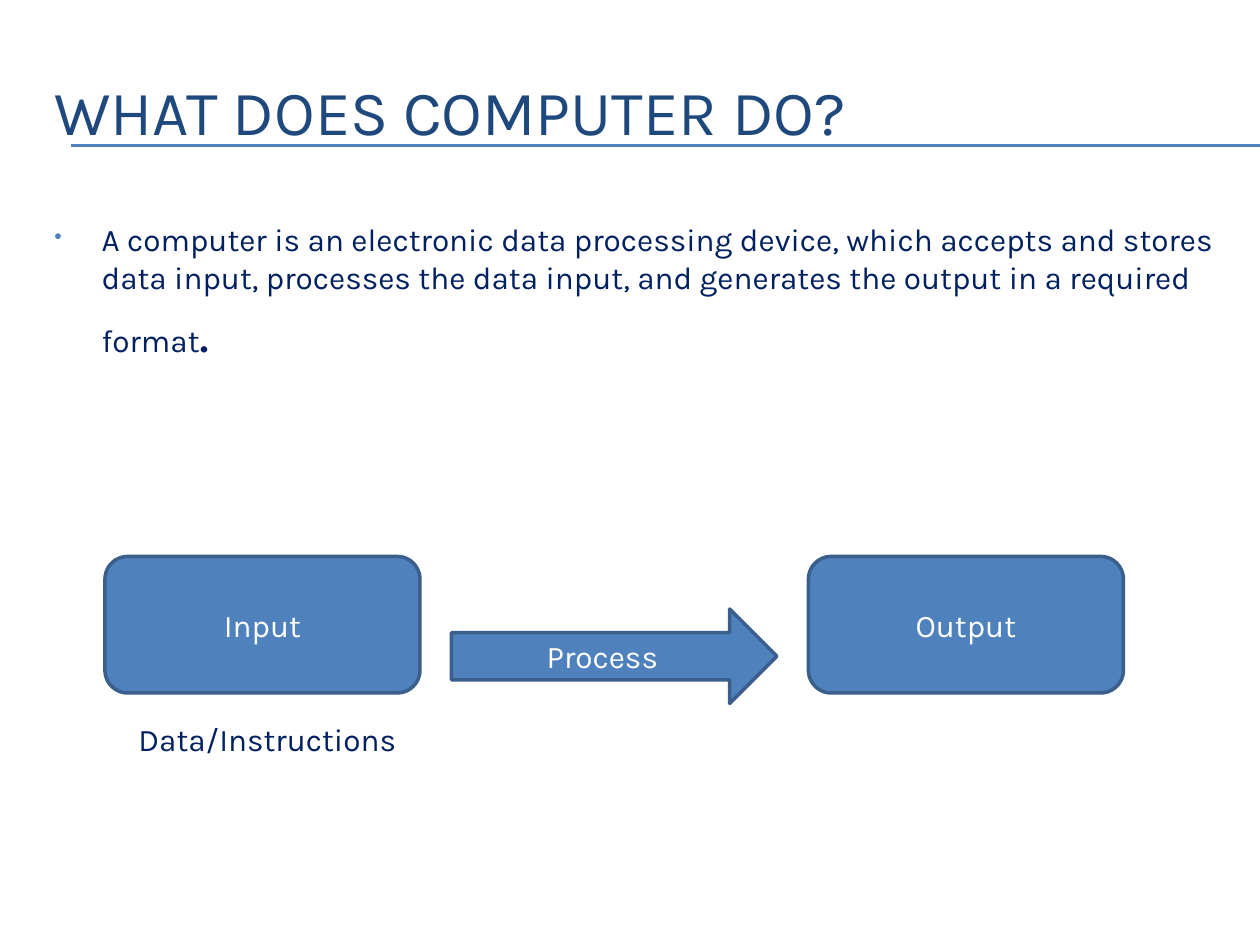
from lxml import etree
from pptx import Presentation
from pptx.dml.color import RGBColor
from pptx.enum.shapes import MSO_CONNECTOR, MSO_SHAPE
from pptx.enum.text import MSO_ANCHOR, PP_ALIGN
from pptx.oxml.ns import qn
from pptx.util import Pt

BLUE = RGBColor(0x4F, 0x81, 0xBD)
EDGE = RGBColor(0x3A, 0x5F, 0x8C)
TITLE = RGBColor(0x1F, 0x49, 0x7D)
NAVY = RGBColor(0x00, 0x20, 0x60)
WHITE = RGBColor(0xFF, 0xFF, 0xFF)
ROUND, ARROW = MSO_SHAPE.ROUNDED_RECTANGLE, MSO_SHAPE.RIGHT_ARROW
STRAIGHT = MSO_CONNECTOR.STRAIGHT
TOP, MIDDLE = MSO_ANCHOR.TOP, MSO_ANCHOR.MIDDLE
LEFT, CENTER = PP_ALIGN.LEFT, PP_ALIGN.CENTER
FONT = "Karla"


def write(frame, text, size=18, color=NAVY, align=LEFT, anchor=TOP):
    """Fill a text frame with one formatted paragraph and return it."""
    frame.word_wrap = True
    frame.vertical_anchor = anchor
    para = frame.paragraphs[0]
    para.alignment = align
    style(para.add_run(), text, size, color)
    return para


def style(run, text, size, color):
    """Set the text and font of a run."""
    run.text = text
    run.font.name = FONT
    run.font.size = Pt(size)
    run.font.color.rgb = color


def add_box(slide, x, y, w, h, text, **form):
    """Add a text box and return its paragraph."""
    box = slide.shapes.add_textbox(Pt(x), Pt(y), Pt(w), Pt(h))
    return write(box.text_frame, text, **form)


def add_block(slide, kind, x, y, w, h, text):
    """Add a filled shape with a centred label."""
    block = slide.shapes.add_shape(kind, Pt(x), Pt(y), Pt(w), Pt(h))
    block.shadow.inherit = False
    block.fill.solid()
    block.fill.fore_color.rgb = BLUE
    block.line.color.rgb = EDGE
    block.line.width = Pt(2)
    write(block.text_frame, text, color=WHITE, align=CENTER, anchor=MIDDLE)


def add_rule(slide, x, y, end):
    """Add a thin horizontal line."""
    rule = slide.shapes.add_connector(STRAIGHT, Pt(x), Pt(y), Pt(end), Pt(y))
    rule.line.color.rgb = BLUE
    rule.line.width = Pt(0.75)
    etree.SubElement(rule._element.spPr, qn("a:effectLst"))


def add_bullet(para, indent):
    """Give a paragraph a small blue bullet with a hanging indent."""
    props = para._p.get_or_add_pPr()
    props.set("marL", str(Pt(indent)))
    props.set("indent", str(-Pt(indent)))
    color = etree.SubElement(props, qn("a:buClr"))
    etree.SubElement(color, qn("a:srgbClr"), val=str(BLUE))
    etree.SubElement(props, qn("a:buSzPct"), val="70000")
    etree.SubElement(props, qn("a:buChar"), char="•")


def main():
    """Build the slide and save it."""
    deck = Presentation()
    deck.slide_width, deck.slide_height = Pt(720), Pt(540)
    slide = deck.slides.add_slide(deck.slide_layouts[6])
    for y in (82.8, 83.5):
        add_rule(slide, 40.5, y, 720)
    add_box(slide, 24, 24, 684, 78, "WHAT DOES COMPUTER DO?",
            size=36, color=TITLE, anchor=MIDDLE)
    body = add_box(slide, 24, 122.4, 684, 81.6,
                   "A computer is an electronic data processing device, which "
                   "accepts and stores data input, processes the data input, "
                   "and generates the output in a required format")
    style(body.add_run(), ".", 32, NAVY)
    add_bullet(body, 27)
    for x, label in ((60, "Input"), (462, "Output")):
        add_block(slide, ROUND, x, 318, 180, 78, label)
    add_block(slide, ARROW, 258, 348, 186, 54, "Process")
    add_box(slide, 72, 408, 162, 29, "Data/Instructions")
    deck.save("out.pptx")


if __name__ == "__main__":
    main()
